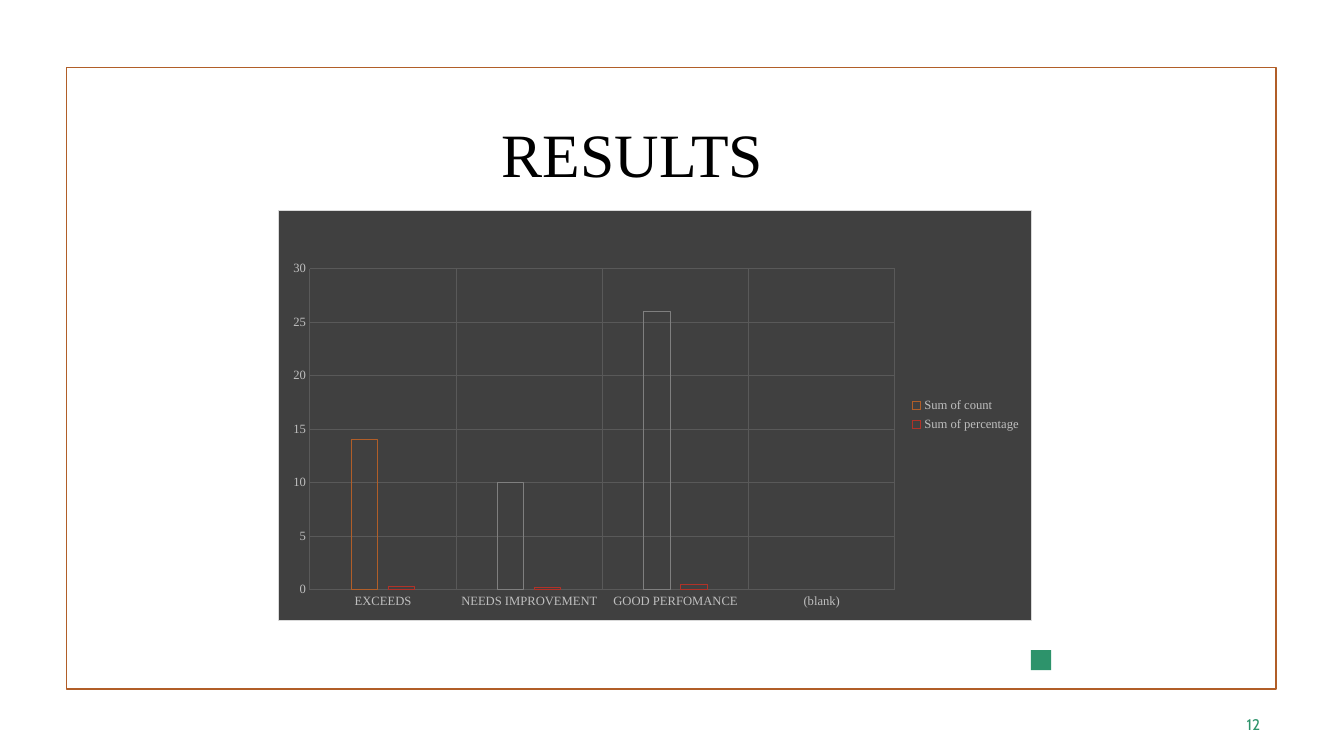
from lxml import etree
from pptx import Presentation, util as u
from pptx.chart.data import CategoryChartData
from pptx.dml.color import RGBColor
from pptx.enum import chart as ch, shapes, text
from pptx.oxml import parse_xml
from pptx.oxml.ns import nsdecls, qn


def rgb(value):
    return RGBColor.from_string(value)


def set_font(font, name, size, color):
    for key, value in {"name": name, "size": u.Pt(size), "bold": False}.items():
        setattr(font, key, value)
    font.color.rgb = rgb(color)


prs = Presentation()
prs.slide_width, prs.slide_height = u.Cm(33.87), u.Cm(19.05)
s = prs.slides.add_slide(prs.slide_layouts[6])

for box, fill, line in [
    ((1.68, 1.7, 30.48, 15.67), None, "B15E28"),
    ((25.98, 16.38, 0.51, 0.51), "2D936B", None),
]:
    sp = s.shapes.add_shape(shapes.MSO_SHAPE.RECTANGLE, *map(u.Cm, box))
    sp.shadow.inherit = False
    if fill:
        sp.fill.solid()
        sp.fill.fore_color.rgb = rgb(fill)
    else:
        sp.fill.background()
    if line:
        sp.line.color.rgb = rgb(line)
        sp.line.width = u.Pt(1.25)
    else:
        sp.line.fill.background()

for words, box, margins, font, before in [
    ("RESULTS", (12.4, 3, 9.09, 3.1), (0.25, 0.13), ("Times New Roman", 44, "000000"), 6),
    ("12", (31.32, 17.98, 0.64, 0.53), (0.1, 0.03), ("Cabin", 11, "2D936B"), 0.6),
]:
    tf = s.shapes.add_textbox(*map(u.Cm, box)).text_frame
    left, top = map(u.Cm, margins)
    for key, value in {
        "word_wrap": True,
        "vertical_anchor": text.MSO_ANCHOR.TOP,
        "margin_left": left,
        "margin_right": 0,
        "margin_top": top,
        "margin_bottom": 0,
    }.items():
        setattr(tf, key, value)
    p = tf.paragraphs[0]
    p.space_before = u.Pt(before)
    if words == "RESULTS":
        p.line_spacing = 0.9
    r = p.add_run()
    r.text = words
    set_font(r.font, *font)

data = CategoryChartData()
data.categories = ["EXCEEDS", "NEEDS IMPROVEMENT", "GOOD PERFOMANCE", "(blank)"]
data.add_series("Sum of count", [14, 10, 26, None])
data.add_series("Sum of percentage", [0.3, 0.2, 0.5, None])
chart = s.shapes.add_chart(
    ch.XL_CHART_TYPE.COLUMN_CLUSTERED, *map(u.Cm, (7, 5.28, 19, 10.36)), data
).chart
set_font(chart.font, "Times New Roman", 10, "000000")
chart.has_title = False
chart.has_legend = True
chart.legend.position = ch.XL_LEGEND_POSITION.RIGHT
chart.legend.include_in_layout = False
set_font(chart.legend.font, "Times New Roman", 9, "BFBFBF")

for axis in (chart.category_axis, chart.value_axis):
    for key, value in {
        "has_major_gridlines": True,
        "major_tick_mark": ch.XL_TICK_MARK.NONE,
        "minor_tick_mark": ch.XL_TICK_MARK.NONE,
    }.items():
        setattr(axis, key, value)
    axis.format.line.fill.background()
    grid = axis.major_gridlines.format.line
    grid.color.rgb = rgb("595959")
    grid.width = u.Pt(0.75)
    set_font(axis.tick_labels.font, "Times New Roman", 9, "BFBFBF")
for key, value in {"minimum_scale": 0, "maximum_scale": 30, "major_unit": 5}.items():
    setattr(chart.value_axis, key, value)

plot = chart.plots[0]
for key, value in {"gap_width": 315, "overlap": -40, "vary_by_categories": False}.items():
    setattr(plot, key, value)
count, percentage = plot.series
for bars, color in [
    (count, "B15E28"),
    (percentage, "B13228"),
    (count.points[1], "7F7F7F"),
    (count.points[2], "7F7F7F"),
]:
    bars.format.fill.background()
    bars.format.line.color.rgb = rgb(color)
    bars.format.line.width = u.Pt(0.75)

area = chart._chartSpace.chart.plotArea
for old in area.findall(qn("c:layout")):
    area.remove(old)
layout = parse_xml(f"<c:layout {nsdecls('c')}><c:manualLayout/></c:layout>")
for tag, value in [
    ("layoutTarget", "inner"), ("xMode", "edge"), ("yMode", "edge"),
    ("x", "0.042"), ("y", "0.143"), ("w", "0.777"), ("h", "0.783"),
]:
    etree.SubElement(layout[0], qn(f"c:{tag}")).set("val", value)
area.insert(0, layout)

chart._chartSpace.chart.addnext(parse_xml(
    f"<c:spPr {nsdecls('c', 'a')}>"
    '<a:solidFill><a:srgbClr val="404040"/></a:solidFill>'
    '<a:ln w="9525"><a:solidFill><a:srgbClr val="D9D9D9"/></a:solidFill></a:ln>'
    "</c:spPr>"
))

prs.save("out.pptx")
